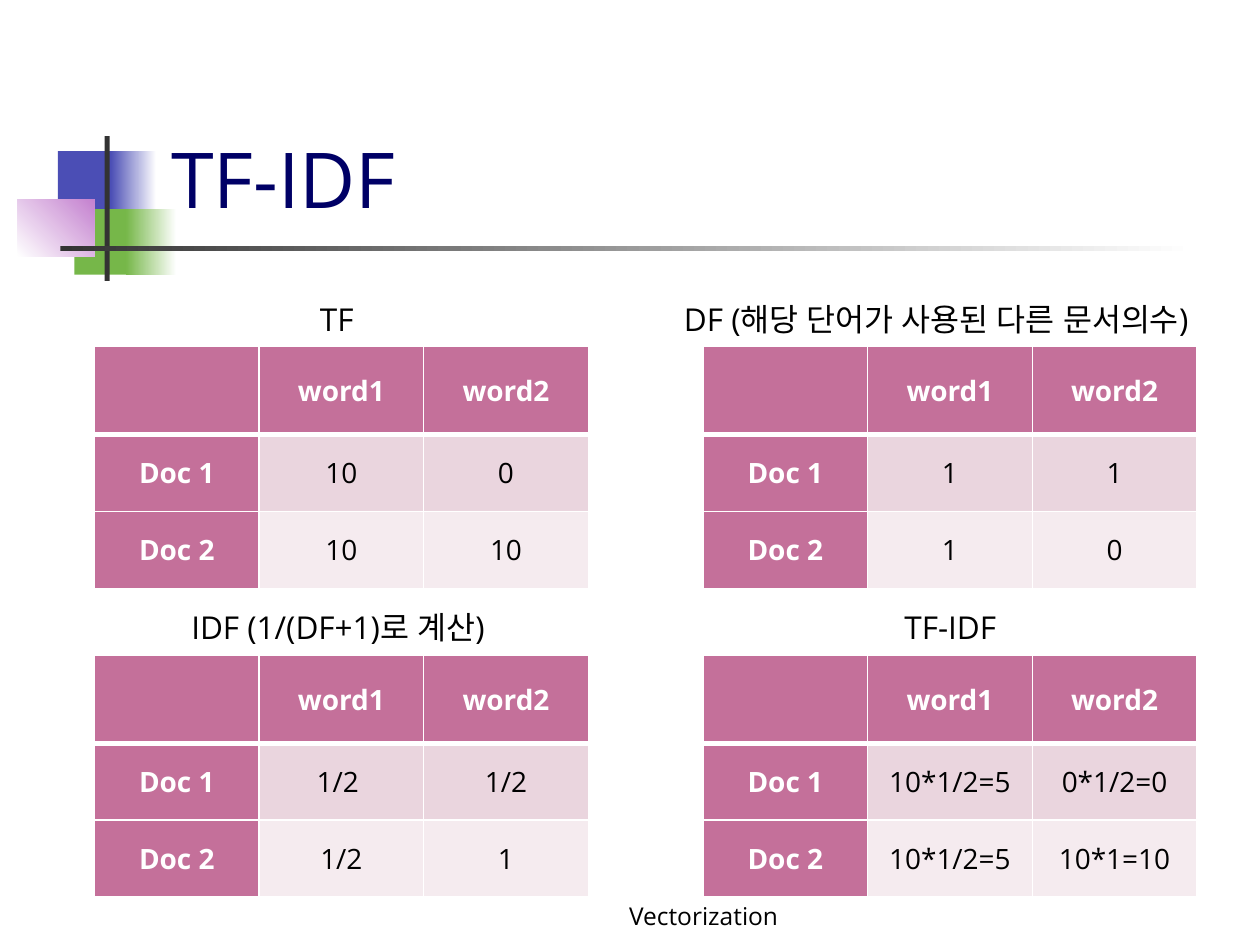
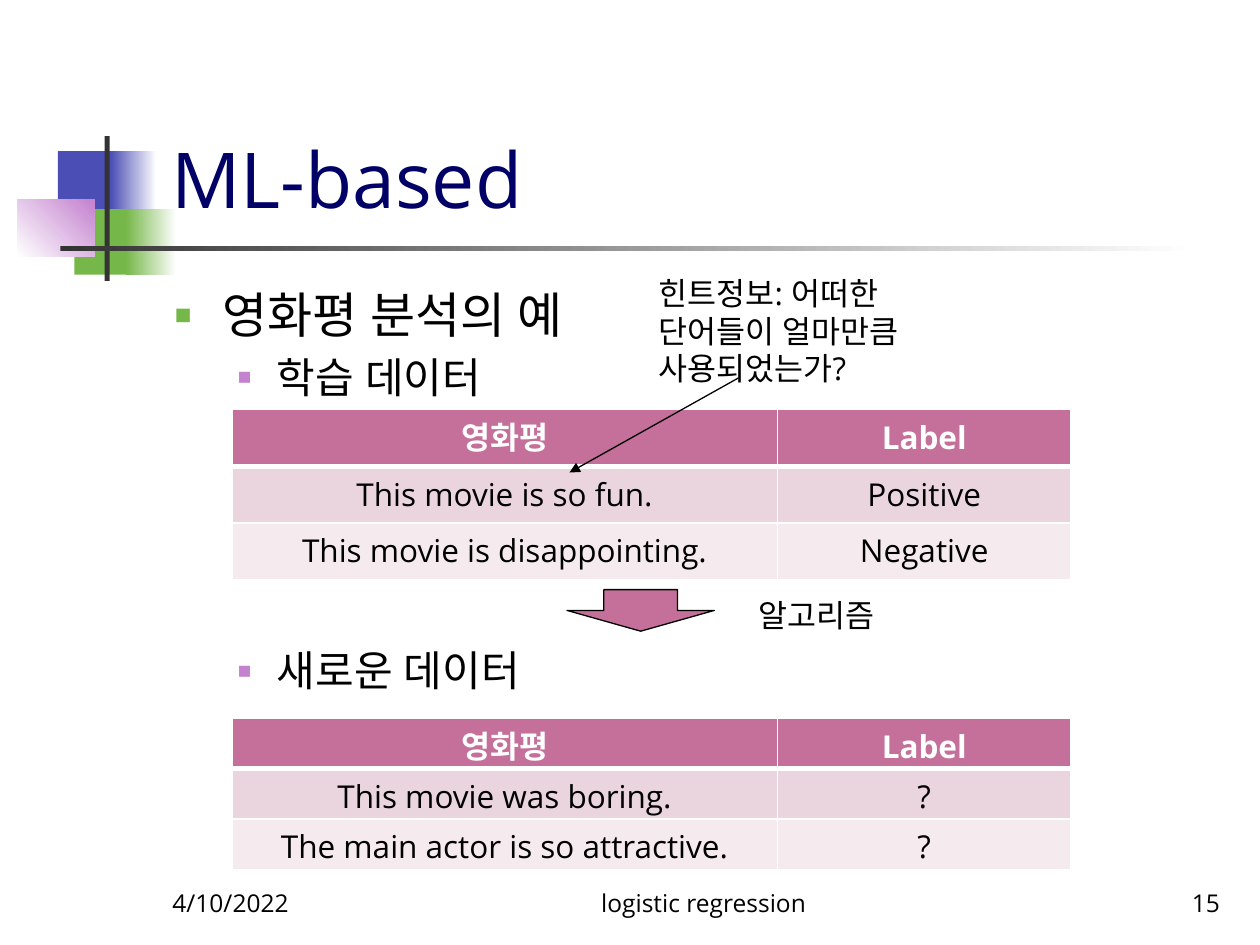
from dataclasses import dataclass
from typing import Optional, Sequence

from lxml import etree
from pptx import Presentation
from pptx.dml.color import RGBColor
from pptx.enum.shapes import MSO_CONNECTOR as Connector, MSO_SHAPE as Shape
from pptx.enum.text import MSO_ANCHOR as Anchor, PP_ALIGN as Align
from pptx.oxml.ns import qn
from pptx.util import Inches, Pt


# ---- Theme and element descriptions ----
@dataclass(frozen=True)
class Theme:
    font: str = "Open Sans"
    black: str = "000000"
    white: str = "FFFFFF"
    navy: str = "000066"
    blue: str = "4B4EB5"
    green: str = "76B749"
    violet: str = "C481CF"
    grey: str = "333333"
    rose: str = "C4709A"
    bands: tuple = ("EAD5DE", "F5EBEF")
    title: float = 44
    bullet: float = 28
    sub_bullet: float = 24
    label: float = 18
    cell: float = 16
    footer: float = 14
    hangul_line: float = 1.19


THEME = Theme()


@dataclass(frozen=True)
class Box:
    left: float
    top: float
    width: float
    height: float

    def lengths(self) -> tuple:
        return tuple(Inches(v) for v in (self.left, self.top, self.width, self.height))


@dataclass(frozen=True)
class Block:
    """A rectangle of the title emblem, plain or fading to a second colour."""
    box: Box
    color: str
    fade: Optional[str] = None
    angle: float = 0


@dataclass(frozen=True)
class Bullet:
    text: str
    size: float
    color: str
    scale: int
    left: float
    hang: float
    before: float


@dataclass(frozen=True)
class Grid:
    box: Box
    columns: Sequence[float]
    rows: Sequence[float]
    cells: Sequence[Sequence[str]]
    size: float
    anchor: Anchor = Anchor.TOP
    row_heads: bool = False
    bottom_margin: float = 0.05


EMBLEM = (
    Block(Box(0.46, 1.2, 0.48, 0.52), THEME.blue),
    Block(Box(0.88, 1.2, 0.36, 0.52), THEME.blue, THEME.white),
    Block(Box(0.59, 1.66, 0.46, 0.52), THEME.green),
    Block(Box(1, 1.66, 0.4, 0.52), THEME.green, THEME.white),
    Block(Box(0.14, 1.58, 0.61, 0.46), THEME.white, THEME.violet, 45),
    Block(Box(0.83, 1.08, 0.04, 1.15), THEME.grey),
    Block(Box(0.48, 1.95, 9, 0.04), THEME.grey, THEME.white),
)
TITLE = Box(1.26, 0.23, 8.52, 1.6)
FOOTER_LEFT = Box(1.27, 6.83, 2.08, 0.5)
FOOTER_CENTER = Box(4, 6.83, 3.17, 0.5)
FOOTER_LOW = Box(4, 6.93, 3.17, 0.5)
FOOTER_RIGHT = Box(7.7, 6.83, 2.08, 0.5)


# ---- Text ----
def rgb(color: str) -> RGBColor:
    return RGBColor.from_string(color)


def write(para, text: str, *, size: float, color: str = THEME.black,
          bold: bool = False, align: Align = Align.LEFT) -> None:
    para.alignment = align
    span = para.add_run()
    span.text = text
    span.font.name = THEME.font
    span.font.size = Pt(size)
    span.font.bold = bold
    span.font.color.rgb = rgb(color)
    east_asian = etree.SubElement(span.font._element, qn("a:ea"))
    east_asian.set("typeface", THEME.font)


def add_text(page, text: str, box: Box, *, size: float = THEME.label,
             color: str = THEME.black, align: Align = Align.LEFT,
             anchor: Anchor = Anchor.TOP, wrap: bool = True,
             line: Optional[float] = None) -> None:
    frame = page.shapes.add_textbox(*box.lengths()).text_frame
    frame.word_wrap = wrap
    frame.vertical_anchor = anchor
    para = frame.paragraphs[0]
    write(para, text, size=size, color=color, align=align)
    if line:
        para.line_spacing = Pt(size * line)


def add_footer(page, text: str, box: Box, align: Align) -> None:
    add_text(page, text, box, size=THEME.footer, align=align, anchor=Anchor.BOTTOM)


def add_bullets(page, box: Box, bullets: Sequence[Bullet]) -> None:
    frame = page.shapes.add_textbox(*box.lengths()).text_frame
    frame.word_wrap = True
    for index, bullet in enumerate(bullets):
        para = frame.add_paragraph() if index else frame.paragraphs[0]
        write(para, bullet.text, size=bullet.size)
        para.line_spacing = Pt(bullet.size * THEME.hangul_line)
        para.space_before = Pt(bullet.before)
        props = para._p.get_or_add_pPr()
        props.set("marL", str(Inches(bullet.left)))
        props.set("indent", str(-Inches(bullet.hang)))
        color = etree.SubElement(props, qn("a:buClr"))
        etree.SubElement(color, qn("a:srgbClr")).set("val", bullet.color)
        etree.SubElement(props, qn("a:buSzPct")).set("val", str(bullet.scale * 1000))
        etree.SubElement(props, qn("a:buFont")).set("typeface", THEME.font)
        etree.SubElement(props, qn("a:buChar")).set("char", "■")


# ---- Shapes ----
def add_block(page, block: Block) -> None:
    shape = page.shapes.add_shape(Shape.RECTANGLE, *block.box.lengths())
    shape.shadow.inherit = False
    shape.line.fill.background()
    if block.fade is None:
        shape.fill.solid()
        shape.fill.fore_color.rgb = rgb(block.color)
        return
    shape.fill.gradient()
    shape.fill.gradient_angle = block.angle
    for stop, color, position in zip(shape.fill.gradient_stops,
                                     (block.color, block.fade), (0, 1)):
        stop.color.rgb = rgb(color)
        stop.position = position


def add_down_arrow(page, box: Box) -> None:
    arrow = page.shapes.add_shape(Shape.DOWN_ARROW, *box.lengths())
    arrow.shadow.inherit = False
    arrow.fill.solid()
    arrow.fill.fore_color.rgb = rgb(THEME.rose)
    arrow.line.color.rgb = rgb(THEME.black)
    arrow.line.width = Pt(0.75)


def add_pointer(page, start: tuple, end: tuple) -> None:
    points = [Inches(v) for v in (*start, *end)]
    pointer = page.shapes.add_connector(Connector.STRAIGHT, *points)
    pointer.line.color.rgb = rgb(THEME.black)
    pointer.line.width = Pt(0.75)
    line = pointer.line._get_or_add_ln()
    etree.SubElement(line, qn("a:tailEnd")).set("type", "triangle")
    etree.SubElement(pointer._element.spPr, qn("a:effectLst"))


# ---- Tables ----
def set_borders(cell, bottom: float, top: float) -> None:
    props = cell._tc.get_or_add_tcPr()
    for side, width in (("L", 1), ("R", 1), ("T", top), ("B", bottom)):
        line = etree.SubElement(props, qn(f"a:ln{side}"))
        line.set("w", str(Pt(width)))
        fill = etree.SubElement(line, qn("a:solidFill"))
        etree.SubElement(fill, qn("a:srgbClr")).set("val", THEME.white)


def add_grid(page, grid: Grid) -> None:
    table = page.shapes.add_table(len(grid.rows), len(grid.columns),
                                  *grid.box.lengths()).table
    for column, width in zip(table.columns, grid.columns):
        column.width = Inches(width)
    for row, height in zip(table.rows, grid.rows):
        row.height = Inches(height)
    for r, texts in enumerate(grid.cells):
        for c, text in enumerate(texts):
            cell = table.cell(r, c)
            head = r == 0 or (grid.row_heads and c == 0)
            set_borders(cell, bottom=3 if r == 0 else 1, top=3 if r == 1 else 1)
            cell.fill.solid()
            cell.fill.fore_color.rgb = rgb(THEME.rose if head else THEME.bands[(r - 1) % 2])
            cell.vertical_anchor = grid.anchor
            cell.margin_bottom = Inches(grid.bottom_margin)
            if text:
                write(cell.text_frame.paragraphs[0], text, size=grid.size, bold=head,
                      color=THEME.white if head else THEME.black, align=Align.CENTER)


def add_word_grid(page, left: float, top: float, doc1: tuple, doc2: tuple) -> None:
    width = 3.92
    add_grid(page, Grid(
        Box(left, top, width, 1.92), [width / 3] * 3, (0.7, 0.61, 0.61),
        (("", "word1", "word2"), ("Doc 1", *doc1), ("Doc 2", *doc2)),
        THEME.cell, Anchor.MIDDLE, row_heads=True))


def add_review_grid(page, top: float, row: float, margin: float, *reviews: tuple) -> None:
    add_grid(page, Grid(
        Box(1.84, top, 6.66, row * 3), (4.33, 2.33), [row] * 3,
        (("영화평", "Label"), *reviews), THEME.label, bottom_margin=margin))


# ---- Pages ----
def add_page(deck, title: str):
    page = deck.slides.add_slide(deck.slide_layouts[6])
    for block in EMBLEM:
        add_block(page, block)
    add_text(page, title, TITLE, size=THEME.title, color=THEME.navy, anchor=Anchor.BOTTOM)
    return page


def build_tf_idf(deck) -> None:
    page = add_page(deck, "TF-IDF")
    # The lower tables end above the footer, so its word stays readable
    lefts, tops = (0.75, 5.58), (2.75, 5.2)
    add_footer(page, "Vectorization", FOOTER_LOW, Align.CENTER)
    # caption, caption left and width, then the two document rows
    panels = (
        ("TF", 2.44, 0.48, ("10", "0"), ("10", "10")),
        ("DF (해당 단어가 사용된 다른 문서의수)", 5.33, 4.63, ("1", "1"), ("1", "0")),
        ("IDF (1/(DF+1)로 계산)", 1.42, 2.76, ("1/2 ", "1/2"), ("1/2", "1")),
        ("TF-IDF", 7.08, 0.97, ("10*1/2=5", "0*1/2=0"), ("10*1/2=5", "10*1=10")),
    )
    for index, (caption, left, width, doc1, doc2) in enumerate(panels):
        top = tops[index // 2]
        add_word_grid(page, lefts[index % 2], top, doc1, doc2)
        add_text(page, caption, Box(left, top - 0.42, width, 0.4), wrap=False)


def build_ml_based(deck) -> None:
    page = add_page(deck, "ML-based")
    sub = (THEME.sub_bullet, THEME.violet, 34, 0.81, 0.31)
    add_bullets(page, Box(1.29, 2.21, 8.5, 4.5), (
        Bullet("영화평 분석의 예", THEME.bullet, THEME.green, 36, 0.38, 0.38, 0),
        Bullet("학습 데이터", *sub, before=5),
        Bullet("새로운 데이터", *sub, before=139),
    ))
    add_footer(page, "4/10/2022", FOOTER_LEFT, Align.LEFT)
    add_footer(page, "15", FOOTER_RIGHT, Align.RIGHT)

    # Training data, the algorithm, then new data
    add_review_grid(page, 3.25, 0.45, 0.05,
                    ("This movie is so fun.", "Positive"),
                    ("This movie is disappointing.", "Negative"))
    add_down_arrow(page, Box(4.5, 4.68, 1.17, 0.33))
    add_text(page, "알고리즘", Box(5.92, 4.68, 1.21, 0.4), wrap=False,
             line=THEME.hangul_line)
    add_review_grid(page, 5.7, 0.4, 0,
                    ("This movie was boring.", "?"),
                    ("The main actor is so attractive.", "?"))
    add_footer(page, "logistic regression", FOOTER_CENTER, Align.CENTER)

    # Hint and its pointer
    add_text(page, "힌트정보: 어떠한 단어들이 얼마만큼 사용되었는가?",
             Box(5.13, 2.13, 2.7, 1.01), line=THEME.hangul_line)
    add_pointer(page, (5.86, 3), (4.52, 3.75))


def main() -> None:
    deck = Presentation()
    deck.slide_width = Inches(10)
    deck.slide_height = Inches(7.5)
    build_tf_idf(deck)
    build_ml_based(deck)
    deck.save("out.pptx")


main()
